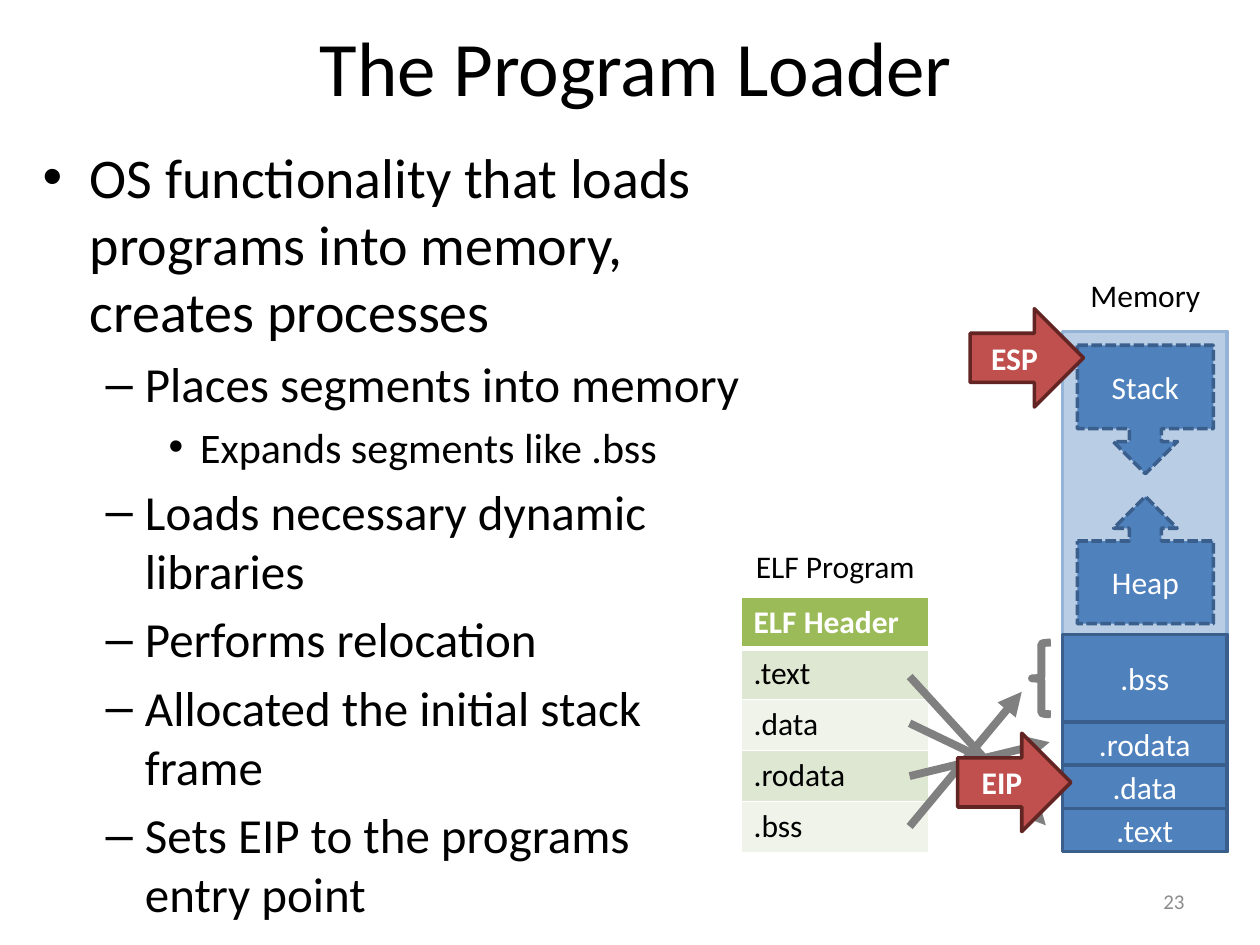
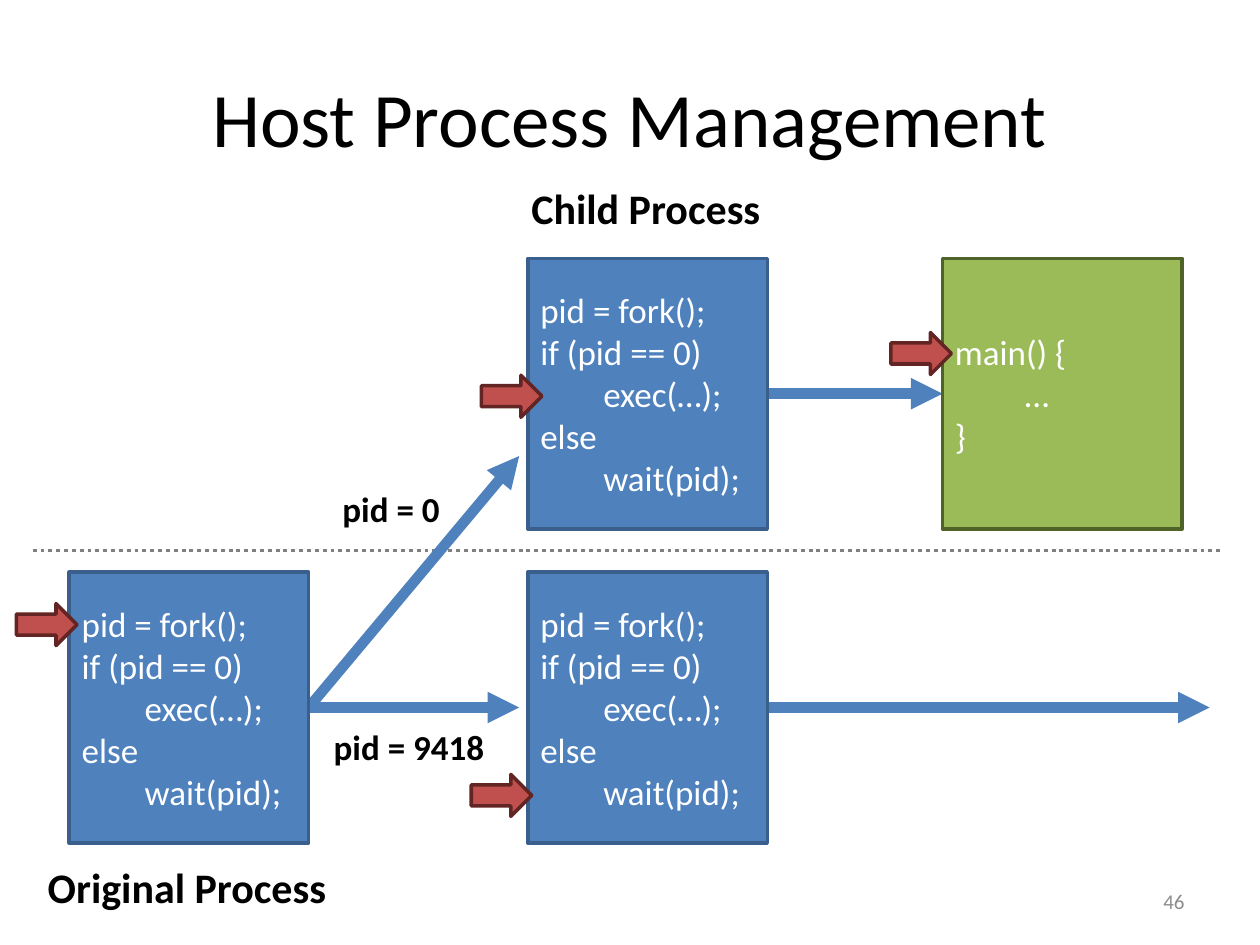
from dataclasses import dataclass
from lxml import etree
from pptx import Presentation
from pptx.dml.color import RGBColor
from pptx.enum.dml import MSO_LINE
from pptx.enum.shapes import MSO_CONNECTOR, MSO_SHAPE
from pptx.enum.text import MSO_ANCHOR, PP_ALIGN
from pptx.oxml.ns import qn
from pptx.util import Pt

LEFT, MID, RIGHT = PP_ALIGN.LEFT, PP_ALIGN.CENTER, PP_ALIGN.RIGHT
TOP, CENTER = MSO_ANCHOR.TOP, MSO_ANCHOR.MIDDLE
RECT, BRACE, ARROW = MSO_SHAPE.RECTANGLE, MSO_SHAPE.LEFT_BRACE, MSO_SHAPE.RIGHT_ARROW
UP, DOWN = MSO_SHAPE.UP_ARROW_CALLOUT, MSO_SHAPE.DOWN_ARROW_CALLOUT
DASH, DOTS = MSO_LINE.SQUARE_DOT, MSO_LINE.ROUND_DOT


@dataclass(frozen=True)
class Theme:
    font: str = "Calibri"
    ink: str = "000000"
    white: str = "FFFFFF"
    mute: str = "8C8C8C"
    gray: str = "808080"
    blue: str = "4F81BD"
    navy: str = "3A5F8C"
    pale: str = "B9CDE5"
    sky: str = "95B3D7"
    green: str = "9BBB59"
    moss: str = "4F6228"
    red: str = "C0504D"
    wine: str = "632523"
    bands: tuple = ("DEE7D1", "EFF3EA")
    title: int = 44
    levels: tuple = (32, 28, 24)
    head: int = 24
    code: int = 20
    label: int = 18
    page: int = 12


T = Theme()

# ---- content: all lengths in points ----
LOADER = {"title": "The Program Loader", "box": (39.6, 3.6, 648, 68.4), "page": "23"}
POINTS = [
    (0, "OS functionality that loads programs into memory, creates processes"),
    (1, "Places segments into memory"),
    (2, "Expands segments like .bss"),
    (1, "Loads necessary dynamic libraries"),
    (1, "Performs relocation"),
    (1, "Allocated the initial stack frame"),
    (1, "Sets EIP to the programs entry point"),
]
BULLETS = [("•", 27, 27), ("–", 58.5, 22.5), ("•", 90, 18)]  # mark, indent, hang
ROWS = ["ELF Header", ".text", ".data", ".rodata", ".bss"]
PARTS = [(".text", 24.7), (".data", 24.7), (".rodata", 24.7), (".bss", 50)]
TAGS = [("ELF Program", (424, 308.9, 106.6, 29.1)),
        ("Memory", (615.6, 154.1, 77.8, 29.1))]
GROW = [("Heap", UP, 283.7, 72.7), ("Stack", DOWN, 197.3, 73.4)]
LINKS = [(386.6, 597.6, 471.6), (413.3, 597.6, 450.7),
         (443.5, 599.8, 424.1), (472.3, 583.9, 395.3)]  # start y, end x, end y
REGS = [("ESP", 554.4, 176.4), ("EIP", 547.2, 419)]

FORK = {"title": "Host Process Management", "box": (36, 21.6, 648, 90), "page": "46"}
CODE = [(0, "pid = fork();"), (0, "if (pid == 0)"), (36, "exec(…);"),
        (0, "else"), (36, "wait(pid);")]
MAIN = [(0, "main() {"), (40, "…"), (0, "}")]
COLS, HIGH, LOW = (39.6, 301.7, 538.6), 147.6, 326.9
WIDE, TALL, PITCH = 136.8, 154.8, 24.4
# column, row top, lines, line being run, marker lead, fill, edge
BOXES = [
    (0, LOW, CODE, 0, 30.2, T.blue, T.navy),
    (1, HIGH, CODE, 2, 26.6, T.blue, T.navy),
    (1, LOW, CODE, 4, 32.4, T.blue, T.navy),
    (2, HIGH, MAIN, 0, 29.5, T.green, T.moss),
]
NOTES = [
    ("pid = 0", T.code, (188.6, 275, 70.6, 31.5)),
    ("pid = 9418", T.code, (183.6, 411.1, 101.5, 31.5)),
    ("Original Process", T.head, (20.2, 488.9, 175, 36.4)),
    ("Child Process", T.head, (296.6, 100.8, 146.9, 36.4)),
]


def rgb(tone):
    return RGBColor.from_string(tone)


def pts(box):
    return [Pt(v) for v in box]


def put(par, text, size, tone=T.ink, bold=False, align=LEFT):
    par.alignment = align
    run = par.add_run()
    run.text = text
    font = run.font
    font.name, font.size, font.bold = T.font, Pt(size), bold
    font.color.rgb = rgb(tone)


def indent(par, left, hang=0, mark=None):
    props = par._p.get_or_add_pPr()
    props.set("marL", str(Pt(left)))
    props.set("indent", str(-Pt(hang)))
    if mark:
        etree.SubElement(props, qn("a:buFont")).set("typeface", "Arial")
        etree.SubElement(props, qn("a:buChar")).set("char", mark)


def fill_in(frame, items):
    """Yield each item with its own paragraph."""
    for n, item in enumerate(items):
        yield frame.add_paragraph() if n else frame.paragraphs[0], item


def frame_at(slide, box, anchor=TOP, wrap=True):
    frame = slide.shapes.add_textbox(*pts(box)).text_frame
    frame.word_wrap, frame.vertical_anchor = wrap, anchor
    return frame


def label(slide, box, text, size, bold=False, align=LEFT):
    frame = frame_at(slide, box, wrap=False)
    put(frame.paragraphs[0], text, size, bold=bold, align=align)


def shape(slide, kind, box, fill, edge, width=2, dash=None, text=None, bold=False):
    item = slide.shapes.add_shape(kind, *pts(box))
    item.shadow.inherit = False
    if fill:
        item.fill.solid()
        item.fill.fore_color.rgb = rgb(fill)
    else:
        item.fill.background()
    item.line.color.rgb, item.line.width = rgb(edge), Pt(width)
    if dash:
        item.line.dash_style = dash
    item.text_frame.vertical_anchor = CENTER
    if text:
        put(item.text_frame.paragraphs[0], text, T.label, T.white, bold, MID)
    return item


def line(slide, ends, tone, width, dash=None):
    """Draw a plain dashed line, or an arrow when no dash is given."""
    link = slide.shapes.add_connector(MSO_CONNECTOR.STRAIGHT, *pts(ends))
    link.line.color.rgb, link.line.width = rgb(tone), Pt(width)
    if dash:
        link.line.dash_style = dash
    else:
        stroke = link.line._get_or_add_ln()
        etree.SubElement(stroke, qn("a:tailEnd")).set("type", "triangle")
    etree.SubElement(link._element.spPr, qn("a:effectLst"))


def border(cell, side, width):
    stroke = etree.SubElement(cell._tc.get_or_add_tcPr(), qn("a:" + side))
    stroke.set("w", str(Pt(width)))
    solid = etree.SubElement(stroke, qn("a:solidFill"))
    etree.SubElement(solid, qn("a:srgbClr")).set("val", T.white)


def frames(slide, data):
    """Add the title and page number."""
    frame = frame_at(slide, data["box"], CENTER)
    put(frame.paragraphs[0], data["title"], T.title, align=MID)
    frame = frame_at(slide, (516, 500.4, 168, 28.8), CENTER)
    put(frame.paragraphs[0], data["page"], T.page, T.mute, align=RIGHT)


def grid(slide):
    high, wide = 29.2, 107.3
    table = slide.shapes.add_table(
        len(ROWS), 1, *pts((423.4, 341.3, wide, high * len(ROWS)))).table
    table.columns[0].width = Pt(wide)
    for n, text in enumerate(ROWS):
        table.rows[n].height = Pt(high)
        cell = table.cell(n, 0)
        for side in ("lnL", "lnR", "lnT", "lnB"):
            thick = (n, side) in ((0, "lnB"), (1, "lnT"))
            border(cell, side, 3 if thick else 1)
        cell.fill.solid()
        cell.fill.fore_color.rgb = rgb(T.bands[(n - 1) % 2] if n else T.green)
        put(cell.text_frame.paragraphs[0], text, T.label,
            T.ink if n else T.white, bold=n == 0)


def loader(slide):
    frames(slide, LOADER)
    frame = frame_at(slide, (17.3, 77.8, 413.3, 451.4))
    for par, (level, text) in fill_in(frame, POINTS):
        size = T.levels[level]
        mark, left, hang = BULLETS[level]
        par.space_before = Pt(size * 0.2)
        indent(par, left, hang, mark)
        put(par, text, size)

    left, wide, base = 607, 94.3, 486.7
    shape(slide, RECT, (left, 189.4, wide, base - 189.4), T.pale, T.sky)
    grid(slide)
    for text, box in TAGS:
        label(slide, box, text, T.label, align=MID)
    for text, high in PARTS:
        base -= high
        shape(slide, RECT, (left, base, wide, high), T.blue, T.navy, text=text)
    for text, kind, top, high in GROW:
        shape(slide, kind, (615.6, top, 77.8, high), T.blue, T.navy,
              dash=DASH, text=text)
    for start, x, y in LINKS:
        line(slide, (519.8, start, x, y), T.gray, 4.5)
    shape(slide, BRACE, (589.7, 367.2, 10.8, 41), None, T.gray, 4.5)
    for text, x, y in REGS:
        shape(slide, ARROW, (x, y, 64.8, 56.2), T.red, T.wine, text=text, bold=True)


def fork(slide):
    high, low = HIGH + TALL / 2, LOW + TALL / 2
    one, two = COLS[0] + WIDE, COLS[1] + WIDE
    near = COLS[1] - 5
    line(slide, (two, low, 691.2, low), T.blue, 6)
    line(slide, (18.7, 314.6, 699.1, 314.6), T.gray, 2.25, DOTS)
    line(slide, (one, low, near, 260.6), T.blue, 6)
    line(slide, (one, low, near, low), T.blue, 6)
    line(slide, (two, high, COLS[2], high), T.blue, 6)
    frames(slide, FORK)

    for col, top, code, _, _, fill, edge in BOXES:
        item = shape(slide, RECT, (COLS[col], top, WIDE, TALL), fill, edge)
        for par, (left, text) in fill_in(item.text_frame, code):
            indent(par, left)
            put(par, text, T.code, T.white)
    for col, top, code, step, lead, _, _ in BOXES:
        y = top + TALL / 2 + (step - (len(code) - 1) / 2) * PITCH + 1.4
        shape(slide, ARROW, (COLS[col] - lead, y - 12, 34.6, 24), T.red, T.wine)
    for text, size, box in NOTES:
        label(slide, box, text, size, bold=True)


def main():
    deck = Presentation()
    deck.slide_width, deck.slide_height = Pt(720), Pt(540)
    for draw in (loader, fork):
        draw(deck.slides.add_slide(deck.slide_layouts[6]))
    deck.save("out.pptx")


if __name__ == "__main__":
    main()
